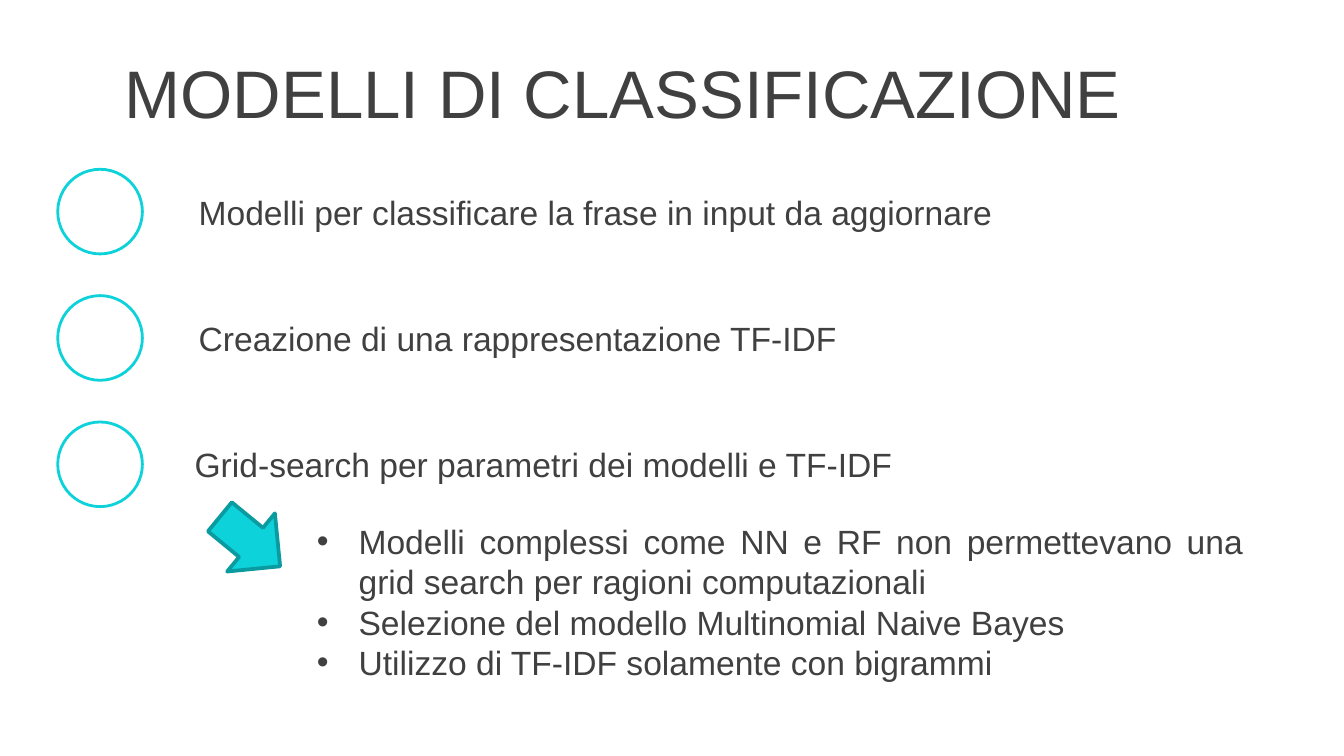
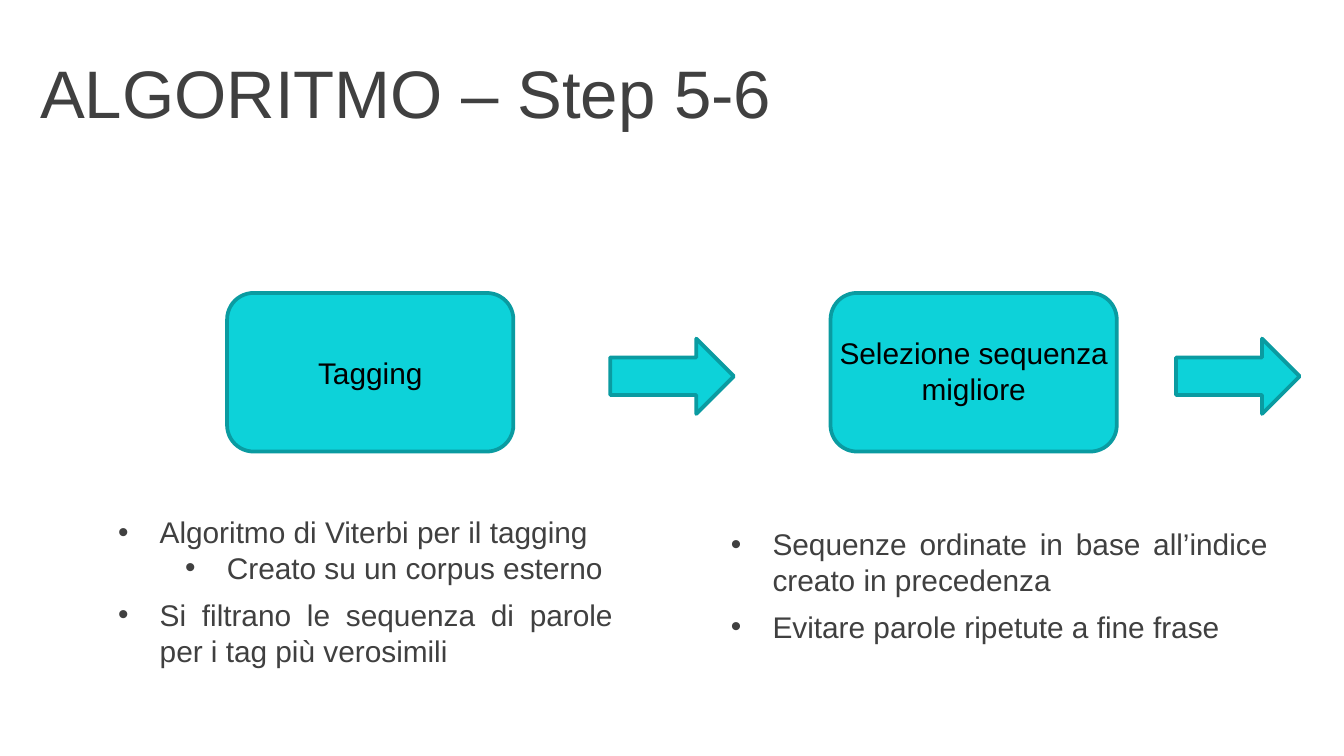
from lxml import etree
from pptx import Presentation
from pptx.dml.color import RGBColor
from pptx.enum.shapes import MSO_SHAPE
from pptx.enum.text import MSO_ANCHOR, PP_ALIGN
from pptx.oxml.ns import qn
from pptx.util import Inches, Pt

OVAL, ARROW, ROUND = MSO_SHAPE.OVAL, MSO_SHAPE.RIGHT_ARROW, MSO_SHAPE.ROUNDED_RECTANGLE
MIDDLE, TOP = MSO_ANCHOR.MIDDLE, MSO_ANCHOR.TOP
LEFT, CENTER, JUSTIFY = PP_ALIGN.LEFT, PP_ALIGN.CENTER, PP_ALIGN.JUSTIFY

# Content
MODELS_TITLE = "MODELLI DI CLASSIFICAZIONE"
MODEL_STEPS = [  # text, left, width
    ("Modelli per classificare la frase in input da aggiornare", 1.38, 6.85),
    ("Creazione di una rappresentazione TF-IDF", 1.38, 6.85),
    ("Grid-search per parametri dei modelli e TF-IDF", 1.35, 7.09),
]
GRID_SEARCH_NOTES = [  # text, level, space before
    ("Modelli complessi come NN e RF non permettevano una grid search "
     "per ragioni computazionali", 0, 0),
    ("Selezione del modello Multinomial Naive Bayes", 0, 0),
    ("Utilizzo di TF-IDF solamente con bigrammi", 0, 0),
]
ALGORITHM_TITLE = "ALGORITMO – Step 5-6"
STAGES = [
    {"label": "Tagging", "left": 1.69, "arrow": 4.54,
     "label_top": 2.59, "label_height": 0.37,
     "notes_at": (0.78, 3.77, 3.88, 1.26),
     "notes": [("Algoritmo di Viterbi per il tagging", 0, 0),
               ("Creato su un corpus esterno", 1, 0),
               ("Si filtrano le sequenza di parole per i tag più verosimili", 0, 6)]},
    {"label": "Selezione sequenza migliore", "left": 6.18, "arrow": 8.75,
     "label_top": 2.44, "label_height": 0.64,
     "notes_at": (5.34, 3.86, 4.19, 0.99),
     "notes": [("Sequenze ordinate in base all’indice creato in precedenza", 0, 0),
               ("Evitare parole ripetute a fine frase", 0, 6)]},
]

# Shared style
WIDTH = 10
HEIGHT = WIDTH * 9 / 16
FONT = "Arial"
COLORS = {"text": "404040", "label": "000000", "accent": "0DD2D9",
          "edge": "0A9BA1", "paper": "FFFFFF"}
HANG, LEVEL_STEP = 0.31, 0.5

# Measures
RING, RING_LEFT, RING_TOP, RING_PITCH = 0.63, 0.43, 1.26, 0.94
STEP_H = 0.4
STAGE_W, STAGE_H, STAGE_TOP = 2.13, 1.18, 2.18
ARROW_W, ARROW_H, ARROW_TOP = 0.92, 0.56, 2.52
LABEL_W = 2.31


def color(name):
    return RGBColor.from_string(COLORS[name])


def add_bullet(p, level):
    p.level = level
    pPr = p._p.get_or_add_pPr()
    pPr.set("marL", str(Inches(HANG + level * LEVEL_STEP)))
    pPr.set("indent", str(-Inches(HANG)))
    etree.SubElement(pPr, qn("a:buFont")).set("typeface", FONT)
    etree.SubElement(pPr, qn("a:buChar")).set("char", "•")


def add_text(s, text, at, size=18, fill="text", align=JUSTIFY, anchor=MIDDLE):
    """Text is a string, or a list of (text, level, space before) bullets."""
    tf = s.shapes.add_textbox(*map(Inches, at)).text_frame
    tf.word_wrap = True
    tf.vertical_anchor = anchor
    bulleted = not isinstance(text, str)
    for i, (line, level, gap) in enumerate(text if bulleted else [(text, 0, 0)]):
        p = tf.add_paragraph() if i else tf.paragraphs[0]
        if bulleted:
            add_bullet(p, level)
        p.alignment = align
        if gap:
            p.space_before = Pt(gap)
        r = p.add_run()
        r.text = line
        r.font.name, r.font.size = FONT, Pt(size)
        r.font.color.rgb = color(fill)


def add_shape(s, kind, at, fill="accent", line="edge", weight=2, rotation=0):
    sp = s.shapes.add_shape(kind, *map(Inches, at))
    sp.shadow.inherit = False
    sp.fill.solid()
    sp.fill.fore_color.rgb = color(fill)
    sp.line.color.rgb = color(line)
    sp.line.width = Pt(weight)
    sp.rotation = rotation


def add_slide(prs, title, left):
    s = prs.slides.add_slide(prs.slide_layouts[6])
    s.background.fill.solid()
    s.background.fill.fore_color.rgb = color("paper")
    add_text(s, title, (left, 0.37, WIDTH - left, 0.63), size=36, align=LEFT)
    return s


def build_models(prs):
    s = add_slide(prs, MODELS_TITLE, 0.83)
    # Rings with their steps
    for i, (text, left, width) in enumerate(MODEL_STEPS):
        top = RING_TOP + i * RING_PITCH
        add_shape(s, OVAL, (RING_LEFT, top, RING, RING),
                  fill="paper", line="accent", weight=1.5)
        add_text(s, text, (left, top + (RING - STEP_H) / 2, width, STEP_H))
    # Details of the last step
    add_shape(s, ARROW, (1.57, 3.75, 0.58, ARROW_H), rotation=39.4)
    add_text(s, GRID_SEARCH_NOTES, (2.26, 3.82, 7.09, 1.31))


def build_algorithm(prs):
    s = add_slide(prs, ALGORITHM_TITLE, 0.2)
    # Stage boxes with notes below
    for stage in STAGES:
        add_shape(s, ROUND, (stage["left"], STAGE_TOP, STAGE_W, STAGE_H))
        add_text(s, stage["notes"], stage["notes_at"], size=16)
    # Arrows
    for stage in STAGES:
        add_shape(s, ARROW, (stage["arrow"], ARROW_TOP, ARROW_W, ARROW_H))
    # Labels centred over the boxes
    for stage in STAGES:
        left = stage["left"] - (LABEL_W - STAGE_W) / 2
        add_text(s, stage["label"],
                 (left, stage["label_top"], LABEL_W, stage["label_height"]),
                 size=16, fill="label", align=CENTER, anchor=TOP)


def main():
    prs = Presentation()
    prs.slide_width, prs.slide_height = Inches(WIDTH), Inches(HEIGHT)
    build_models(prs)
    build_algorithm(prs)
    prs.save("out.pptx")


if __name__ == "__main__":
    main()
